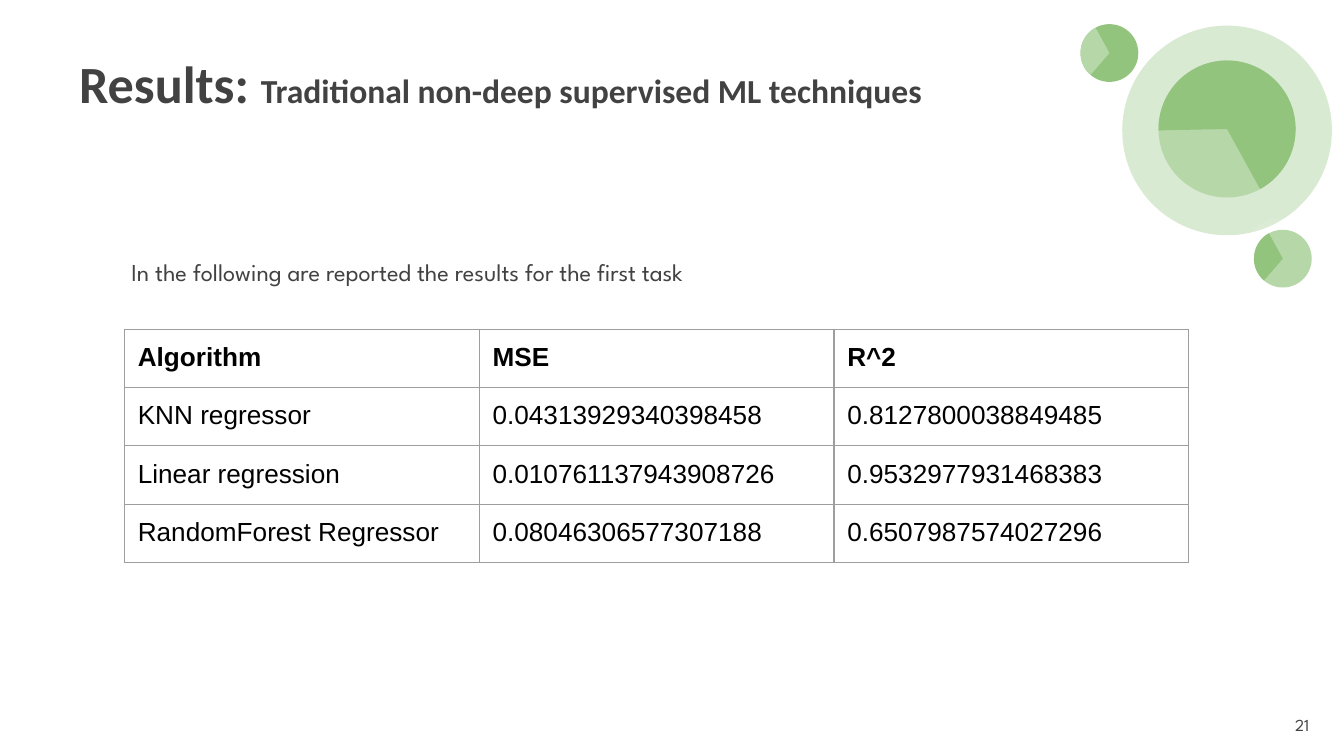
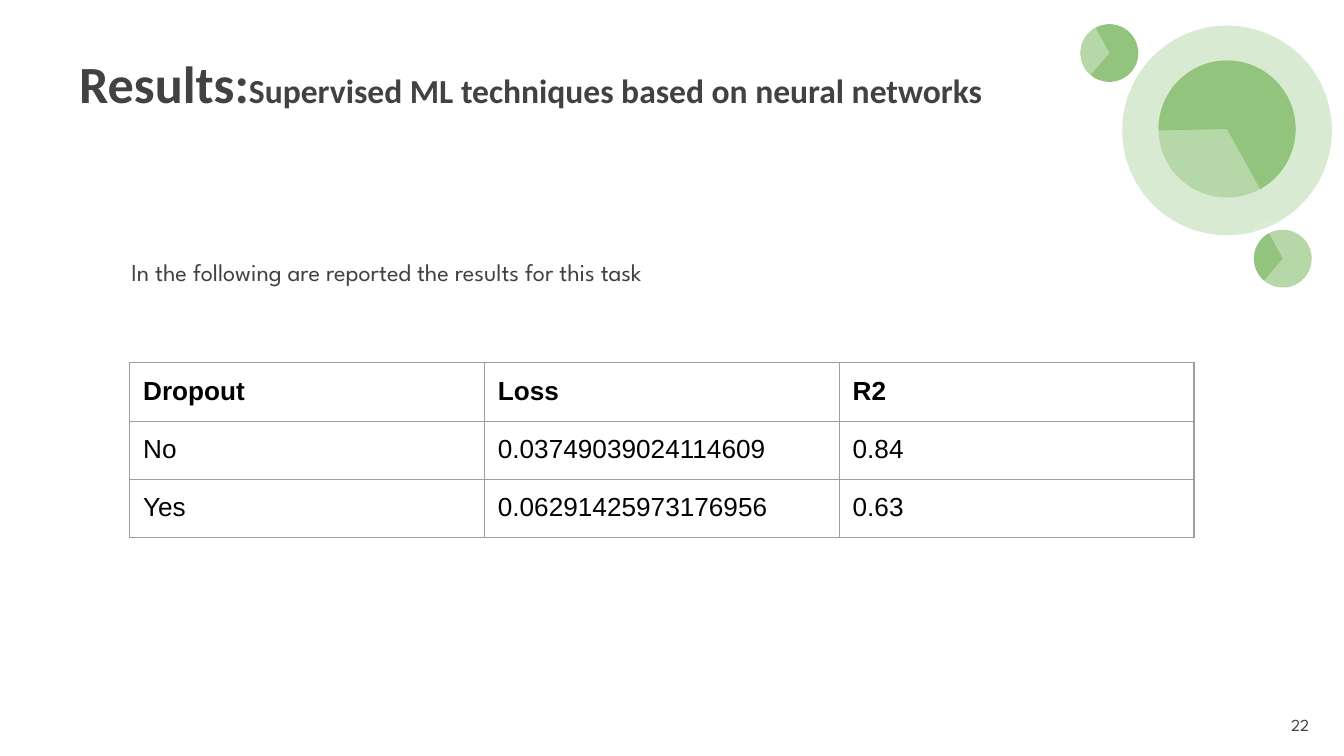
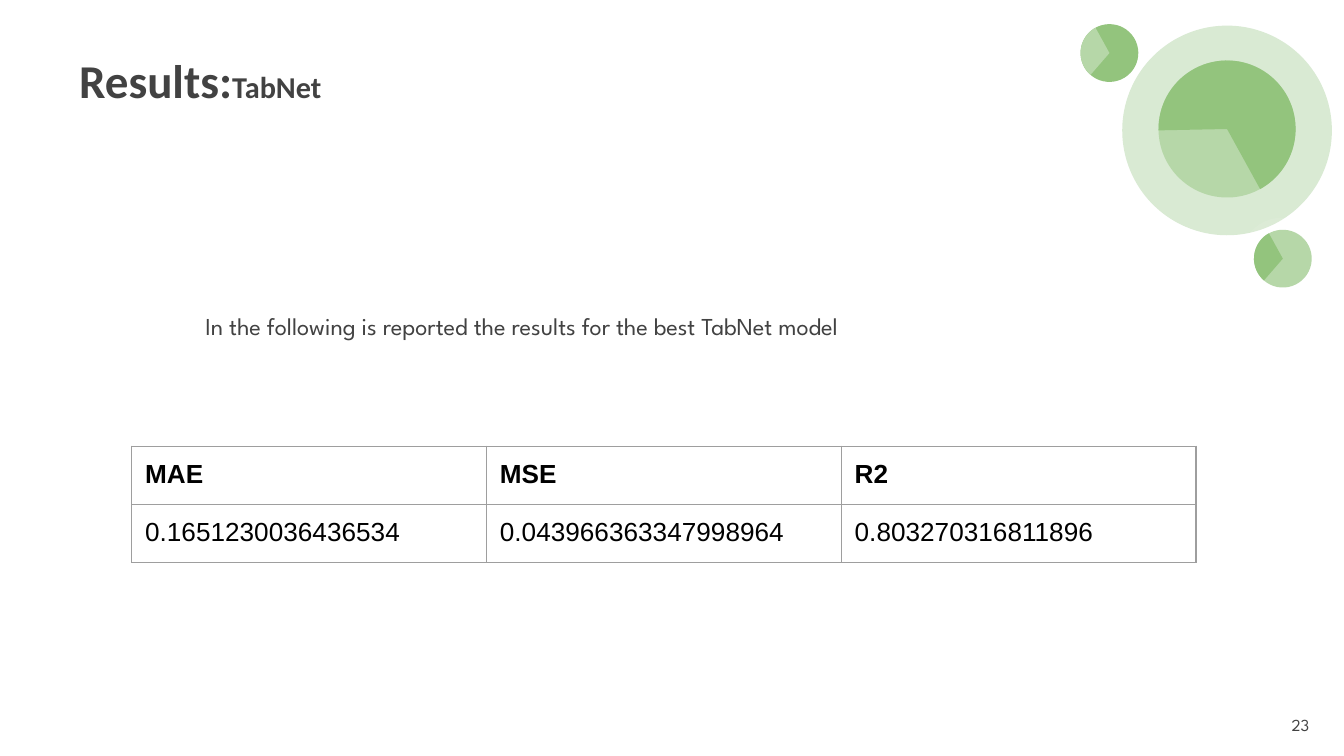
from lxml import etree
from pptx import Presentation
from pptx.dml.color import RGBColor
from pptx.enum.shapes import MSO_SHAPE
from pptx.enum.text import MSO_ANCHOR, PP_ALIGN
from pptx.oxml.ns import qn
from pptx.util import Inches, Pt

ELLIPSE, PIE = MSO_SHAPE.OVAL, MSO_SHAPE.PIE
TOP, MIDDLE = MSO_ANCHOR.TOP, MSO_ANCHOR.MIDDLE
LEFT, RIGHT = PP_ALIGN.LEFT, PP_ALIGN.RIGHT

COLORS = {
    "text": "424242",
    "table text": "000000",
    "border": "9E9E9E",
    "halo": "FFFFFF",
    "pale green": "D9EAD3",
    "light green": "B6D7A8",
    "green": "93C47D",
}
HEADING_FONT, BODY_FONT, TABLE_FONT = "Calibri", "League Spartan", "Arial"

# The slide is a grid of 100 columns; rows are as high as columns are wide
GRID_COLUMNS = 100
SLIDE_WIDTH, SLIDE_HEIGHT = Inches(10), Inches(5.625)
UNIT = SLIDE_WIDTH // GRID_COLUMNS
TABLE_COLUMN, TABLE_ROW = 26.4, 4.17

# Corner circles: left, top, diameter, rotation, colour, pie angles (start, end)
CIRCLES = [
    (83.5, 1.9, 15.6, 215.8, "pale green", None),
    (86.2, 4.5, 10.2, 215.9, "light green", None),
    (86.2, 4.5, 10.2, 215.9, "green", (322.95, 205.23)),
    (92.3, 16.2, 6.2, 35.9, "halo", None),
    (93.3, 17.1, 4.3, 86.3, "light green", None),
    (93.3, 17.1, 4.3, 35.8, "green", (95, 205.23)),
    (80.4, 1.8, 4.3, 35.8, "green", None),
    (80.4, 1.8, 4.3, 35.8, "light green", (95, 205.23)),
]
HALO_ALPHA = 9000
ANGLE_STEP = 0.6  # adjustment value of one degree

SLIDES = [
    {
        "number": 21,
        "title": [("Results: ", 28), ("Traditional non-deep supervised ML techniques", 18)],
        "intro": "In the following are reported the results for the first task",
        "intro box": (8.8, 17.8, 84, 32.6),
        "table corner": (9.25, 24.5),
        "table": [
            ("Algorithm", "MSE", "R^2"),
            ("KNN regressor", "0.04313929340398458", "0.8127800038849485"),
            ("Linear regression", "0.010761137943908726", "0.9532977931468383"),
            ("RandomForest Regressor", "0.08046306577307188", "0.6507987574027296"),
        ],
    },
    {
        "number": 22,
        "title": [("Results:", 28), ("Supervised ML techniques based on neural networks", 18)],
        "intro": "In the following are reported the results for this task",
        "intro box": (8.8, 17.8, 84, 32.6),
        "table corner": (9.65, 27),
        "table": [
            ("Dropout", "Loss", "R2"),
            ("No", "0.03749039024114609", "0.84"),
            ("Yes", "0.06291425973176956", "0.63"),
        ],
    },
    {
        "number": 23,
        "title": [("Results:", 25.2), ("TabNet", 16.2)],
        "intro": "In the following is reported the results for the best TabNet model",
        "intro box": (14.3, 21.8, 76.9, 27.8),
        "table corner": (9.8, 33.2),
        "table": [
            ("MAE", "MSE", "R2"),
            ("0.1651230036436534", "0.043966363347998964", "0.803270316811896"),
        ],
    },
]


def format_run(run, font_name, size, color, bold=False):
    run.font.name = font_name
    run.font.size = Pt(size)
    run.font.bold = bold
    run.font.color.rgb = RGBColor.from_string(COLORS[color])


def add_text(slide, box, runs, font_name, bold=False, align=LEFT, anchor=TOP, spacing=1):
    shape = slide.shapes.add_textbox(*(round(length * UNIT) for length in box))
    text_frame = shape.text_frame
    text_frame.word_wrap = True
    text_frame.vertical_anchor = anchor
    text_frame.margin_left = text_frame.margin_right = UNIT
    text_frame.margin_top = text_frame.margin_bottom = UNIT
    paragraph = text_frame.paragraphs[0]
    paragraph.alignment = align
    paragraph.line_spacing = spacing
    for text, size in runs:
        run = paragraph.add_run()
        run.text = text
        format_run(run, font_name, size, "text", bold)


presentation = Presentation()
presentation.slide_width, presentation.slide_height = SLIDE_WIDTH, SLIDE_HEIGHT
blank_layout = presentation.slide_layouts[6]

for content in SLIDES:
    slide = presentation.slides.add_slide(blank_layout)

    # Corner circles
    for left, top, diameter, rotation, color, angles in CIRCLES:
        shape = slide.shapes.add_shape(
            PIE if angles else ELLIPSE,
            *(round(length * UNIT) for length in (left, top, diameter, diameter)))
        shape.shadow.inherit = False
        shape.rotation = rotation
        shape.line.fill.background()
        shape.fill.solid()
        shape.fill.fore_color.rgb = RGBColor.from_string(COLORS[color])
        for index, angle in enumerate(angles or ()):
            shape.adjustments[index] = angle * ANGLE_STEP
        if color == "halo":
            fill_color = shape._element.spPr.find(".//" + qn("a:srgbClr"))
            etree.SubElement(fill_color, qn("a:alpha"), val=str(HALO_ALPHA))

    # Title, slide number and introduction
    add_text(slide, (4.9, 2.8, 76.9, 10.9), content["title"], HEADING_FONT, bold=True)
    add_text(slide, (92.4, 51.8, 6, 4.3), [(str(content["number"]), 9)], BODY_FONT,
             align=RIGHT, anchor=MIDDLE)
    add_text(slide, content["intro box"], [(content["intro"], 13)], BODY_FONT, spacing=1.15)

    # Results table
    rows = content["table"]
    left, top = content["table corner"]
    size = (TABLE_COLUMN * len(rows[0]), TABLE_ROW * len(rows))
    table = slide.shapes.add_table(
        len(rows), len(rows[0]),
        *(round(length * UNIT) for length in (left, top, *size))).table
    table.horz_banding = False
    for row_index, row in enumerate(rows):
        for column_index, value in enumerate(row):
            cell = table.cell(row_index, column_index)
            cell.text_frame.text = value
            format_run(cell.text_frame.paragraphs[0].runs[0], TABLE_FONT, 14,
                       "table text", bold=row_index == 0)
            cell.margin_left = cell.margin_right = UNIT
            cell.margin_top = cell.margin_bottom = UNIT
            properties = cell._tc.get_or_add_tcPr()
            for side in ("lnL", "lnR", "lnT", "lnB"):
                border = etree.SubElement(properties, qn("a:" + side), w=str(Pt(0.75)))
                border_fill = etree.SubElement(border, qn("a:solidFill"))
                etree.SubElement(border_fill, qn("a:srgbClr"), val=COLORS["border"])
            cell.fill.background()

presentation.save("out.pptx")
